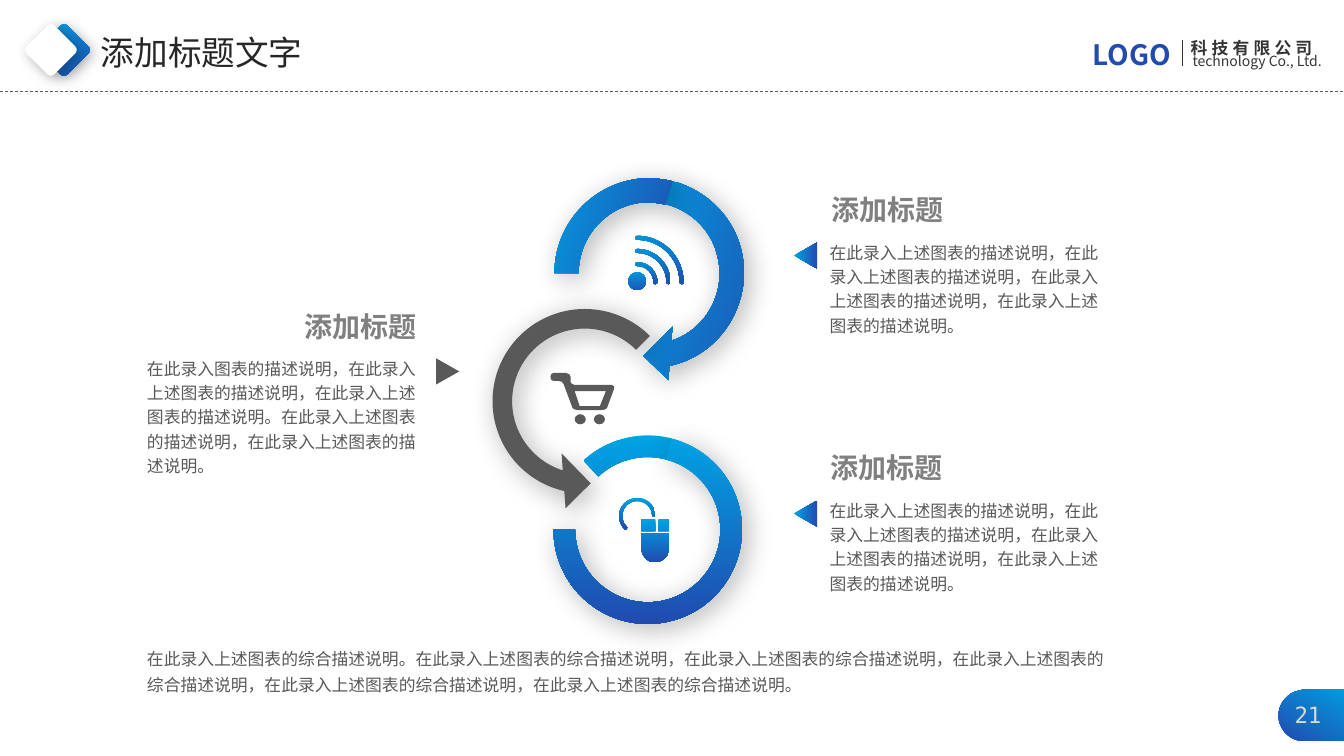
from math import ceil, cos, radians, sin, tan

from lxml import etree
from pptx import Presentation, util as u
from pptx.dml.color import RGBColor
from pptx.enum import dml, shapes, text
from pptx.oxml.ns import qn

COLORS = {"sky": "00A3E4", "navy": "214BAE", "gray": "595959", "heading": "808080",
          "title": "262626", "company": "343634", "number": "D9D9D9", "white": "FFFFFF",
          "black": "000000"}
FONT = "Noto Sans CJK SC"
NUMBER_FONT = "DejaVu Sans Mono"
LEFT, CENTER, RIGHT = text.PP_ALIGN.LEFT, text.PP_ALIGN.CENTER, text.PP_ALIGN.RIGHT

TITLE = "添加标题文字"
HEADING = "添加标题"
RIGHT_BODY = "在此录入上述图表的描述说明，在此录入上述图表的描述说明，在此录入上述图表的描述说明，在此录入上述图表的描述说明。"
LEFT_BODY = "在此录入图表的描述说明，在此录入上述图表的描述说明，在此录入上述图表的描述说明。在此录入上述图表的描述说明，在此录入上述图表的描述说明。"
SUMMARY = "在此录入上述图表的综合描述说明。在此录入上述图表的综合描述说明，在此录入上述图表的综合描述说明，在此录入上述图表的综合描述说明，在此录入上述图表的综合描述说明，在此录入上述图表的综合描述说明。"

BLOCKS = [
    {"heading": (8.15, 1.86), "body": (8.13, 2.32, 3.01, 1.07), "pointer": (7.86, 2.42),
     "turn": 270, "fill": 90, "align": LEFT, "text": RIGHT_BODY},
    {"heading": (8.14, 4.42), "body": (8.13, 4.88, 3.01, 1.07), "pointer": (7.86, 4.98),
     "turn": 270, "fill": 90, "align": LEFT, "text": RIGHT_BODY},
    {"heading": (2.91, 3.02), "body": (1.36, 3.47, 2.93, 1.31), "pointer": (4.31, 3.57),
     "turn": 90, "fill": "gray", "align": RIGHT, "text": LEFT_BODY},
]

PAGE_TAB = ("M 12.93 6.84 L 13.49 6.84 L 13.49 7.35 L 12.93 7.35 L 12.89 7.35 "
            "C 12.77 7.33 12.68 7.22 12.68 7.1 C 12.68 6.98 12.77 6.87 12.89 6.85")
TOP_ARROW = ("M 6.66 1.8 L 6.72 1.81 C 7.06 1.92 7.32 2.21 7.37 2.57 "
             "C 7.44 3.06 7.12 3.53 6.64 3.63 L 6.63 3.77 L 6.38 3.53 L 6.67 3.24 "
             "L 6.66 3.38 C 7 3.27 7.2 2.91 7.12 2.56 C 7.07 2.3 6.87 2.1 6.62 2.03 L 6.59 2.03")
TOP_ARC = ("M 6.46 1.77 C 6.52 1.77 6.58 1.78 6.64 1.79 L 6.67 1.8 L 6.59 2.03 L 6.56 2.02 "
           "C 6.5 2.01 6.43 2.01 6.36 2.01 C 6.01 2.05 5.74 2.35 5.74 2.71 L 5.5 2.71 "
           "C 5.5 2.22 5.88 1.81 6.37 1.77 C 6.4 1.77 6.43 1.77 6.46 1.77")
CART = ("M 6.07 3.82 L 5.7 3.82 C 5.68 3.82 5.66 3.8 5.66 3.79 L 5.66 3.74 "
        "C 5.66 3.72 5.64 3.7 5.61 3.7 L 5.49 3.7 C 5.47 3.7 5.46 3.72 5.46 3.74 "
        "C 5.46 3.76 5.47 3.78 5.49 3.78 L 5.54 3.78 C 5.56 3.78 5.59 3.79 5.59 3.81 "
        "L 5.68 4.05 C 5.69 4.06 5.71 4.07 5.74 4.07 L 5.96 4.07 "
        "C 5.99 4.07 6.01 4.06 6.02 4.05 L 6.09 3.86 C 6.1 3.84 6.09 3.82 6.07 3.82 "
        "M 5.95 4.03 L 5.75 4.03 L 5.7 3.88 L 6.01 3.88")
MOUSE = ("M 6.53 5.15 L 6.53 5.27 L 6.64 5.27 L 6.64 5.15 "
         "M 6.36 5.44 C 6.36 5.51 6.42 5.58 6.49 5.58 C 6.57 5.58 6.64 5.51 6.64 5.44 "
         "L 6.64 5.29 L 6.36 5.29 M 6.5 5.15 L 6.36 5.15 L 6.36 5.27 L 6.5 5.27")
RING = (5.49, 4.32, 1.87, 1.87)
WIFI_CENTER = (6.32, 2.8)
WIFI_RADII = [0.18, 0.31, 0.44]
WIFI_HALF = 0.02
WIFI_TURN = 45.6
CORD_CENTER = (6.32, 5.12)


def inch(value):
    return u.Cm(value * 2.54)


def rgb(name):
    return RGBColor.from_string(COLORS[name])


def paint(shape, fill, blur=0, distance=0, stops=("sky", "navy")):
    shape.line.fill.background()
    if isinstance(fill, str):
        shape.fill.solid()
        shape.fill.fore_color.rgb = rgb(fill)
    else:
        shape.fill.gradient()
        shape.fill.gradient_angle = (360 - fill) % 360
        for stop, name in zip(shape.fill.gradient_stops, stops):
            stop.color.rgb = rgb(name)
    shape.shadow.inherit = False
    if blur:
        effects = shape._element.spPr.find(qn("a:effectLst"))
        shadow = etree.SubElement(effects, qn("a:outerShdw"), blurRad=str(u.Pt(blur)),
                                  dist=str(u.Pt(distance)), dir="2700000",
                                  algn="ctr", rotWithShape="0")
        color = etree.SubElement(shadow, qn("a:srgbClr"), val=COLORS["black"])
        etree.SubElement(color, qn("a:alpha"), val="30000")


def preset(page, kind, box, fill, percents=(), turn=0, **effects):
    shape = page.shapes.add_shape(kind, *map(inch, box))
    for index, percent in enumerate(percents):
        shape.adjustments[index] = percent / 100
    shape.rotation = turn
    paint(shape, fill, **effects)


def rotate(point, degrees):
    c, s = cos(radians(degrees)), sin(radians(degrees))
    return point[0] * c - point[1] * s, point[0] * s + point[1] * c


def steps_of(commands):
    tokens = iter(commands.split())
    return [(command, [(float(next(tokens)), float(next(tokens)))
                       for _ in range(3 if command == "C" else 1)]) for command in tokens]


def arc(center, radius, start, end, first="L"):
    count = ceil(abs(end - start) / 90)
    sweep = (end - start) / count
    handle = 4 / 3 * tan(radians(sweep) / 4)

    def spot(degrees, pull=0):
        x, y = rotate((radius, radius * pull), degrees)
        return center[0] + x, center[1] + y

    angles = [start + sweep * i for i in range(count)]
    return [(first, [spot(start)])] + [
        ("C", [spot(a, handle), spot(a + sweep, -handle), spot(a + sweep)]) for a in angles]


def outline(page, steps, fill, turn=0, **effects):
    steps = [(command, [rotate(point, -turn) for point in ends]) for command, ends in steps]
    xs, ys = zip(*[point for _, ends in steps for point in ends])
    middle = (min(xs) + max(xs)) / 2, (min(ys) + max(ys)) / 2
    target = rotate(middle, turn)
    builder = None
    for index, (command, ends) in enumerate(steps):
        points = [(inch(x + target[0] - middle[0]), inch(y + target[1] - middle[1]))
                  for x, y in ends]
        if builder is None:
            builder = page.shapes.build_freeform(*points[0])
        elif command == "M":
            builder.move_to(*points[0])
        else:
            last = index + 1 == len(steps) or steps[index + 1][0] == "M"
            builder.add_line_segments(points, close=last)
    shape = builder.convert_to_shape()
    bend(shape, [command for command, _ in steps])
    shape.rotation = turn
    paint(shape, fill, **effects)


def bend(shape, commands):
    trace = next(shape._element.iter(qn("a:path")))
    nodes = iter([node for node in trace if node.tag != qn("a:close")])
    for command in commands:
        node = next(nodes)
        if command == "C":
            node.tag = qn("a:cubicBezTo")
            for _ in range(2):
                extra = next(nodes)
                node.append(extra[0])
                trace.remove(extra)


def write(box, place, words, size, color, bold=False, align=LEFT, wrap=True,
          spacing=None, tracking=0, font=FONT):
    box.left, box.top, box.width, box.height = map(inch, place)
    frame = box.text_frame
    frame.text = words
    frame.word_wrap = wrap
    frame.auto_size = text.MSO_AUTO_SIZE.SHAPE_TO_FIT_TEXT
    frame.vertical_anchor = text.MSO_ANCHOR.TOP
    para = frame.paragraphs[0]
    para.alignment = align
    if spacing:
        para.line_spacing = spacing
    span = para.runs[0]
    span.font.size, span.font.bold, span.font.name = u.Pt(size), bold, font
    span.font.color.rgb = rgb(color)
    properties = span.font._element
    etree.SubElement(properties, qn("a:ea"), typeface=font)
    if tracking:
        properties.set("spc", str(tracking * 100))


def label(page, place, *args, **kwargs):
    write(page.shapes.add_textbox(0, 0, 0, 0), place, *args, **kwargs)


def rule(page, start, end, color, weight, dash=None):
    line = page.shapes.add_connector(shapes.MSO_CONNECTOR.STRAIGHT, *map(inch, start + end))
    line.line.color.rgb = rgb(color)
    line.line.width = u.Pt(weight)
    line.line.dash_style = dash
    etree.SubElement(line._element.spPr, qn("a:effectLst"))


def draw_frame(page):
    outline(page, steps_of(PAGE_TAB), 300, stops=("navy", "sky"))
    label(page, (12.71, 6.91, 0.66, 0.37), "21 ", 16, "number", align=CENTER, font=NUMBER_FONT)
    label(page, (11.71, 0.33, 2.65, 0.3), "科技有限公司", 12, "company", bold=True, tracking=3)
    label(page, (11.73, 0.47, 2.4, 0.27), "technology Co., Ltd.", 10, "company")
    label(page, (10.74, 0.32, 1.13, 0.44), "LOGO", 20, "navy", bold=True)
    rule(page, (11.73, 0.4), (11.73, 0.65), "company", 1)
    rule(page, (0, 0.91), (13.33, 0.91), "gray", 0.5, dml.MSO_LINE.DASH)
    for left, fill in ((0.44, 20), (0.31, "white")):
        preset(page, shapes.MSO_SHAPE.ROUNDED_RECTANGLE, (left, 0.3, 0.39, 0.39), fill,
               [12.5], turn=45, blur=10, distance=3)


def draw_rings(page):
    soft = {"blur": 20, "distance": 5}
    for steps in (TOP_ARROW, TOP_ARC):
        outline(page, steps_of(steps), 90, turn=288.5, **soft)
    preset(page, shapes.MSO_SHAPE.LEFT_CIRCULAR_ARROW, (4.71, 2.89, 2.18, 2.18), "gray",
           [8.9, 1142.3, 6293.6, 18900, 12.5], **soft)
    preset(page, shapes.MSO_SHAPE.BLOCK_ARC, RING, 90, [13624.4, 17228.2, 11.5])
    preset(page, shapes.MSO_SHAPE.BLOCK_ARC, RING, 90, [17085.1, 10800, 11.5], **soft)


def draw_icons(page):
    x, y = WIFI_CENTER
    for radius in WIFI_RADII:
        band = (arc(WIFI_CENTER, radius + WIFI_HALF, -90, 0, "M")
                + arc((x + radius, y), WIFI_HALF, 0, 180)[1:]
                + arc(WIFI_CENTER, radius - WIFI_HALF, 0, -90)[1:]
                + arc((x, y - radius), WIFI_HALF, 90, 270)[1:])
        outline(page, band, 44, turn=WIFI_TURN)
    oval = shapes.MSO_SHAPE.OVAL
    preset(page, oval, (6.23, 2.7, 0.18, 0.18), 44, turn=WIFI_TURN)
    for left in (5.7, 5.89):
        preset(page, oval, (left, 4.11, 0.11, 0.1), "gray")
    outline(page, steps_of(CART), "gray")
    outline(page, steps_of(MOUSE), 90)
    cord = arc(CORD_CENTER, 0.18, 130, 360, "M") + arc(CORD_CENTER, 0.15, 360, 130)
    outline(page, cord, 90)


def main():
    deck = Presentation()
    deck.slide_width, deck.slide_height = inch(13.33), inch(7.5)
    page = deck.slides.add_slide(deck.slide_layouts[5])
    write(page.shapes.title, (0.9, 0.27, 2.22, 0.5), TITLE, 24, "title", wrap=False)
    draw_frame(page)
    draw_rings(page)
    for block in BLOCKS:
        label(page, block["heading"] + (1.32, 0.44), HEADING, 20, "heading", bold=True,
              align=block["align"], wrap=False)
        preset(page, shapes.MSO_SHAPE.ISOSCELES_TRIANGLE, block["pointer"] + (0.26, 0.23),
               block["fill"], turn=block["turn"])
        label(page, block["body"], block["text"], 12, "gray", spacing=1.2)
    label(page, (1.36, 6.33, 9.77, 0.63), SUMMARY, 12, "gray", spacing=1.3)
    draw_icons(page)
    deck.save("out.pptx")


if __name__ == "__main__":
    main()
